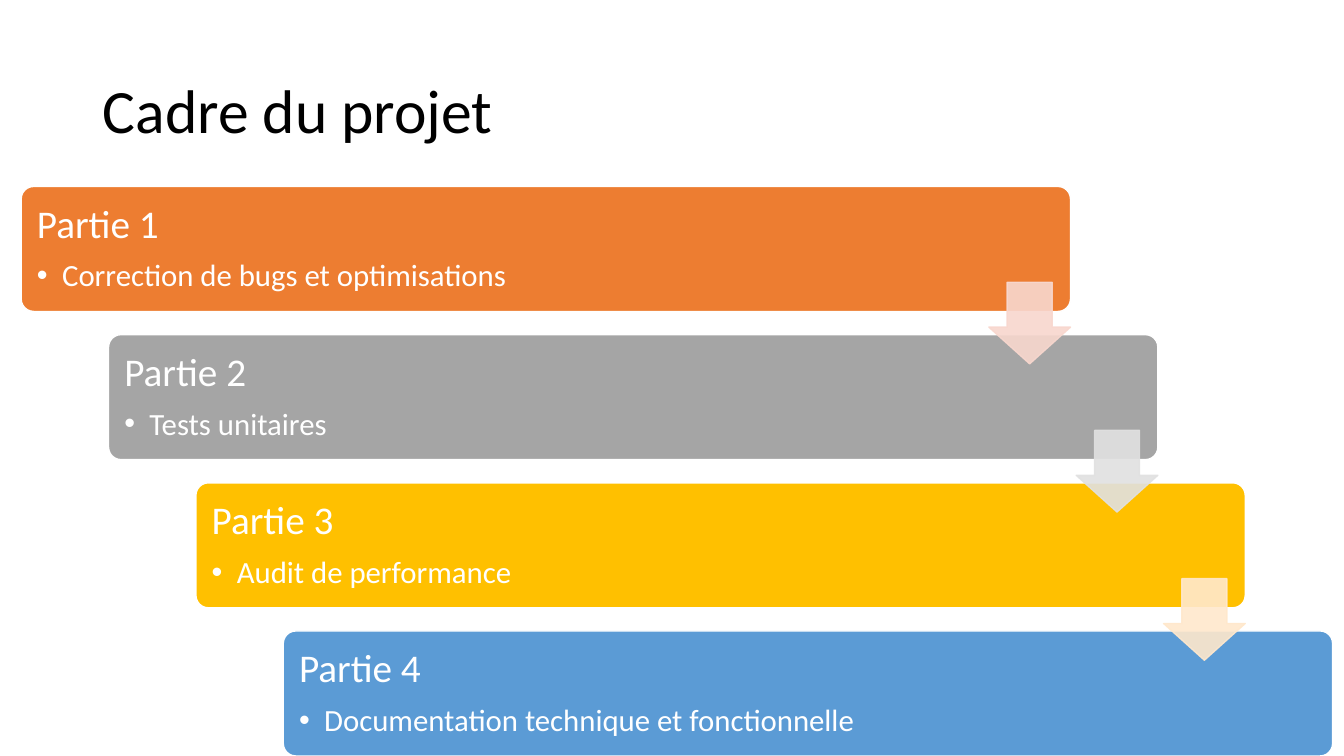
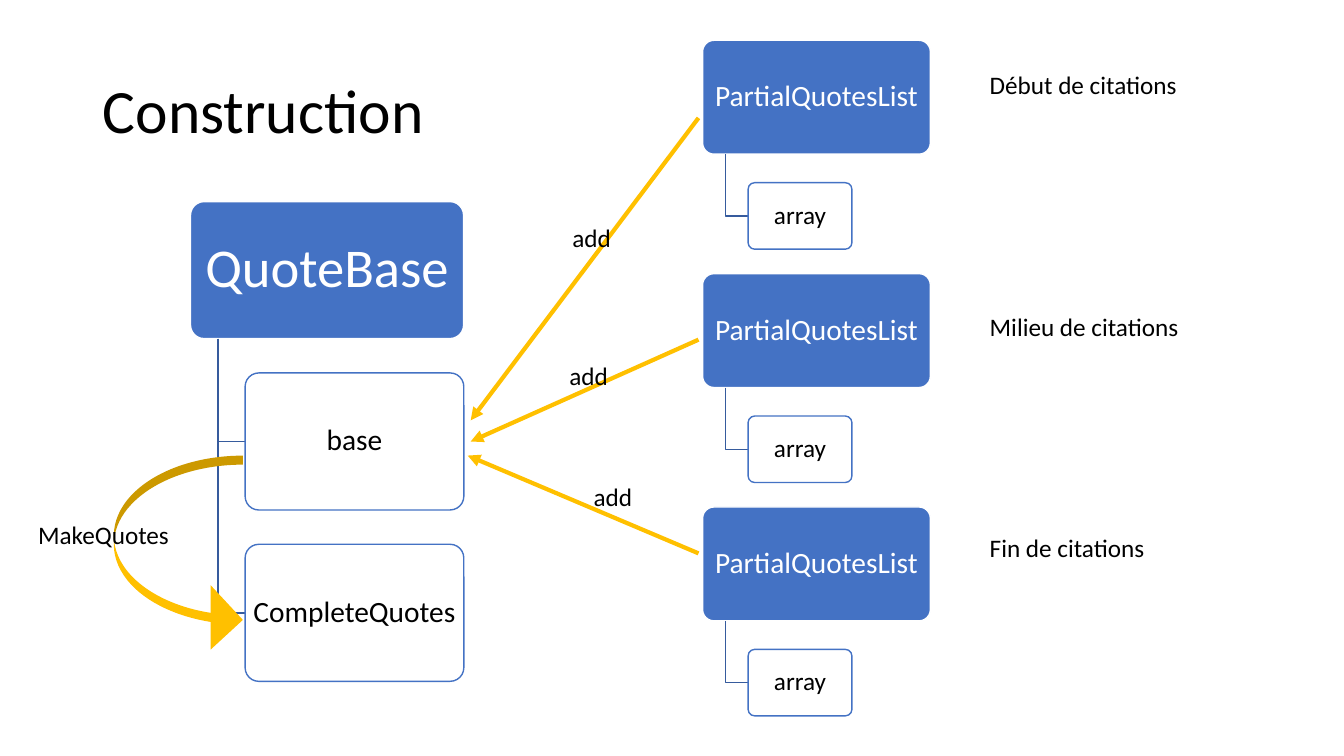
"""Two slides: the project outline as a staircase, and the quote class diagram."""
from dataclasses import dataclass
from typing import Optional

from lxml import etree
from pptx import Presentation
from pptx import util as u
from pptx.dml.color import RGBColor
from pptx.enum import shapes, text
from pptx.oxml.ns import qn

FONT = "Calibri"
BLACK, WHITE = "000000", "FFFFFF"
BLUE, DARK_BLUE, GOLD = "4472C4", "365B9D", "FFC000"

deck = Presentation()
deck.slide_width, deck.slide_height = u.Inches(13.33), u.Inches(7.5)
COLUMN = deck.slide_width / 40
ROW = deck.slide_height / 30


@dataclass(frozen=True)
class Box:
    """A rectangle in grid columns (x, w) and rows (y, h)."""
    x: float
    y: float
    w: float
    h: float

    def emu(self) -> tuple:
        """Left, top, width and height on the slide."""
        return (*point(self.x, self.y), *point(self.w, self.h))


@dataclass(frozen=True)
class Step:
    """One stair of the outline, with the arrow that leaves it."""
    heading: str
    detail: str
    color: str
    arrow: Optional[str] = None


@dataclass(frozen=True)
class Tree:
    """A class with its members hanging below it."""
    name: str
    size: int
    root: Box
    members: tuple
    member_size: int
    member_w: float
    member_h: float


@dataclass(frozen=True)
class Label:
    """Free text at a grid position."""
    words: str
    x: float
    y: float
    w: float


@dataclass(frozen=True)
class Arrow:
    """A straight arrow between two grid points."""
    start: tuple
    end: tuple


def point(x: float, y: float) -> tuple:
    """Turn columns and rows into slide lengths."""
    return round(x * COLUMN), round(y * ROW)


def paint(target, color: str, opacity: int = 100) -> None:
    """Give a fill, line fill or font fill a solid colour."""
    target.solid()
    target.fore_color.rgb = RGBColor.from_string(color)
    if opacity < 100:
        srgb = target._xPr.find(qn("a:solidFill"))[0]
        etree.SubElement(srgb, qn("a:alpha"), val=str(opacity * 1000))


def write(paragraph, words: str, size: float, color: str = BLACK,
          spacing: float = 1.0) -> None:
    """Add one formatted run to a paragraph."""
    paragraph.line_spacing = spacing
    run = paragraph.add_run()
    run.text = words
    run.font.name, run.font.size = FONT, u.Pt(size)
    paint(run.font.fill, color)


def inset(frame, x: float, y: float) -> None:
    """Set the margins of a text frame in inches and centre it vertically."""
    frame.margin_left = frame.margin_right = u.Inches(x)
    frame.margin_top = frame.margin_bottom = u.Inches(y)
    frame.vertical_anchor = text.MSO_ANCHOR.MIDDLE


def add_preset(slide, kind, box: Box, color: str, outline: Optional[str] = None,
               adjust: tuple = (0.1,), opacity: int = 100, line_opacity: int = 100):
    """Draw a flat preset shape."""
    shape = slide.shapes.add_shape(kind, *box.emu())
    shape.shadow.inherit = False
    for index, value in enumerate(adjust):
        shape.adjustments[index] = value
    paint(shape.fill, color, opacity)
    if outline:
        shape.line.width = u.Pt(1)
        paint(shape.line.fill, outline, line_opacity)
    else:
        shape.line.fill.background()
    return shape


def add_titled_slide(title: str):
    """Add a slide with the shared title style."""
    slide = deck.slides.add_slide(deck.slide_layouts[5])
    heading = slide.shapes.title
    heading.left, heading.top, heading.width, heading.height = Box(2.76, 1.6, 34.5, 5.8).emu()
    heading.text_frame.vertical_anchor = text.MSO_ANCHOR.MIDDLE
    paragraph = heading.text_frame.paragraphs[0]
    paragraph.alignment = text.PP_ALIGN.LEFT
    write(paragraph, title, 44, spacing=0.9)
    return slide


def add_step(slide, step: Step, box: Box) -> None:
    """Draw a stair with its heading and one bullet."""
    stair = add_preset(slide, shapes.MSO_SHAPE.ROUNDED_RECTANGLE, box, step.color, WHITE)
    frame = stair.text_frame
    frame.word_wrap = True
    inset(frame, 0.12, 0.12)
    heading, detail = frame.paragraphs[0], frame.add_paragraph()
    for paragraph in (heading, detail):
        paragraph.alignment = text.PP_ALIGN.LEFT
    heading.space_after = u.Pt(9.8)
    write(heading, step.heading, 28, WHITE, 0.9)
    detail.level = 1
    write(detail, step.detail, 22, WHITE, 0.9)
    properties = detail._p.get_or_add_pPr()
    properties.set("marL", str(u.Inches(0.25)))
    properties.set("indent", str(-u.Inches(0.25)))
    etree.SubElement(properties, qn("a:buFont"), typeface="Arial")
    etree.SubElement(properties, qn("a:buChar"), char="\u2022")


def add_node(slide, name: str, size: int, box: Box, root: bool) -> None:
    """Draw a class (filled) or one of its members (outlined)."""
    node = add_preset(slide, shapes.MSO_SHAPE.ROUNDED_RECTANGLE, box,
                      BLUE if root else WHITE, WHITE if root else BLUE,
                      opacity=100 if root else 90)
    node.text_frame.word_wrap = False
    inset(node.text_frame, 0.04, 0.03)
    paragraph = node.text_frame.paragraphs[0]
    paragraph.alignment = text.PP_ALIGN.CENTER
    write(paragraph, name, size, WHITE if root else BLACK, 0.9)


def add_elbow(slide, x: float, top: float, end_x: float, end_y: float) -> None:
    """Draw the branch going down from a class and right to a member."""
    builder = slide.shapes.build_freeform(*point(x, top))
    builder.add_line_segments([point(x, end_y), point(end_x, end_y)], close=False)
    branch = builder.convert_to_shape()
    branch.shadow.inherit = False
    branch.fill.background()
    branch.line.width = u.Pt(1)
    paint(branch.line.fill, DARK_BLUE)


def add_tree(slide, tree: Tree) -> None:
    """Draw a class, its branches and its members."""
    root = tree.root
    bottom, gap = root.y + root.h, root.h / 4
    add_node(slide, tree.name, tree.size, root, True)
    for index, member in enumerate(tree.members):
        box = Box(root.x + root.w / 5, bottom + gap + index * (tree.member_h + gap),
                  tree.member_w, tree.member_h)
        add_elbow(slide, root.x + root.w / 10, bottom, box.x, box.y + box.h / 2)
        add_node(slide, member, tree.member_size, box, False)


def add_label(slide, label: Label) -> None:
    """Place a line of free text."""
    frame = slide.shapes.add_textbox(*Box(label.x, label.y, label.w, 1.6).emu()).text_frame
    frame.word_wrap = True
    frame.auto_size = text.MSO_AUTO_SIZE.SHAPE_TO_FIT_TEXT
    write(frame.paragraphs[0], label.words, 18)


def add_arrow(slide, arrow: Arrow) -> None:
    """Draw a gold arrow with a triangular head."""
    link = slide.shapes.add_connector(shapes.MSO_CONNECTOR.STRAIGHT,
                                      *point(*arrow.start), *point(*arrow.end))
    link.line.width = u.Pt(3)
    paint(link.line.fill, GOLD)
    properties = link._element.spPr
    etree.SubElement(properties.find(qn("a:ln")), qn("a:tailEnd"), type="triangle")
    etree.SubElement(properties, qn("a:effectLst"))


STEPS = (
    Step("Partie 1", "Correction de bugs et optimisations", "ED7D31", "F8D7CE"),
    Step("Partie 2", "Tests unitaires", "A5A5A5", "E1E1E1"),
    Step("Partie 3", "Audit de performance", GOLD, "FFE8CC"),
    Step("Partie 4", "Documentation technique et fonctionnelle", "5B9BD5"),
)
TREES = (
    Tree("QuoteBase", 39, Box(5.67, 8, 8.13, 5.44), ("base", "CompleteQuotes"), 21, 6.51, 5.44),
    *(Tree("PartialQuotesList", 21, Box(20.91, 1.6 + 9.26 * row, 6.78, 4.52),
           ("array",), 18, 3.09, 2.64) for row in range(3)),
)
ARROWS = (
    Arrow((20.79, 13.48), (14.01, 17.52)),
    Arrow((20.79, 4.68), (14.01, 16.68)),
    Arrow((20.79, 21.96), (13.92, 18.08)),
)
LABELS = (
    Label("Début de citations", 29.16, 2.56, 8.55),
    Label("Milieu de citations", 29.16, 12.16, 8.55),
    Label("Fin de citations", 29.16, 20.92, 8.55),
    Label("add", 16.74, 8.64, 3.87),
    Label("add", 16.65, 14.12, 3.87),
    Label("add", 17.37, 18.92, 3.87),
)


def build_outline() -> None:
    """Build the staircase slide, arrows on top of the stairs."""
    slide = add_titled_slide("Cadre du projet")
    stairs = [Box(0.63 + 2.6 * i, 7.4 + 5.88 * i, 31.23, 4.96) for i in range(len(STEPS))]
    for step, stair in zip(STEPS, stairs):
        add_step(slide, step, stair)
    for step, stair in zip(STEPS, stairs):
        if step.arrow:
            box = Box(stair.x + stair.w - 2.43, stair.y + 3.8, 2.43, 3.24)
            add_preset(slide, shapes.MSO_SHAPE.DOWN_ARROW, box, step.arrow, step.arrow,
                       (0.55, 0.45), 90, 90)


def build_construction() -> None:
    """Build the class diagram slide."""
    slide = add_titled_slide("Construction")
    for tree in TREES:
        add_tree(slide, tree)
    for arrow in ARROWS:
        add_arrow(slide, arrow)
    for label in LABELS:
        add_label(slide, label)
    add_preset(slide, shapes.MSO_SHAPE.CURVED_RIGHT_ARROW, Box(3.39, 18.08, 3.84, 7.8),
               GOLD, adjust=(0.07, 0.5, 0.25))
    add_label(slide, Label("MakeQuotes", 0.84, 20.4, 4.77))


build_outline()
build_construction()
deck.save("out.pptx")
